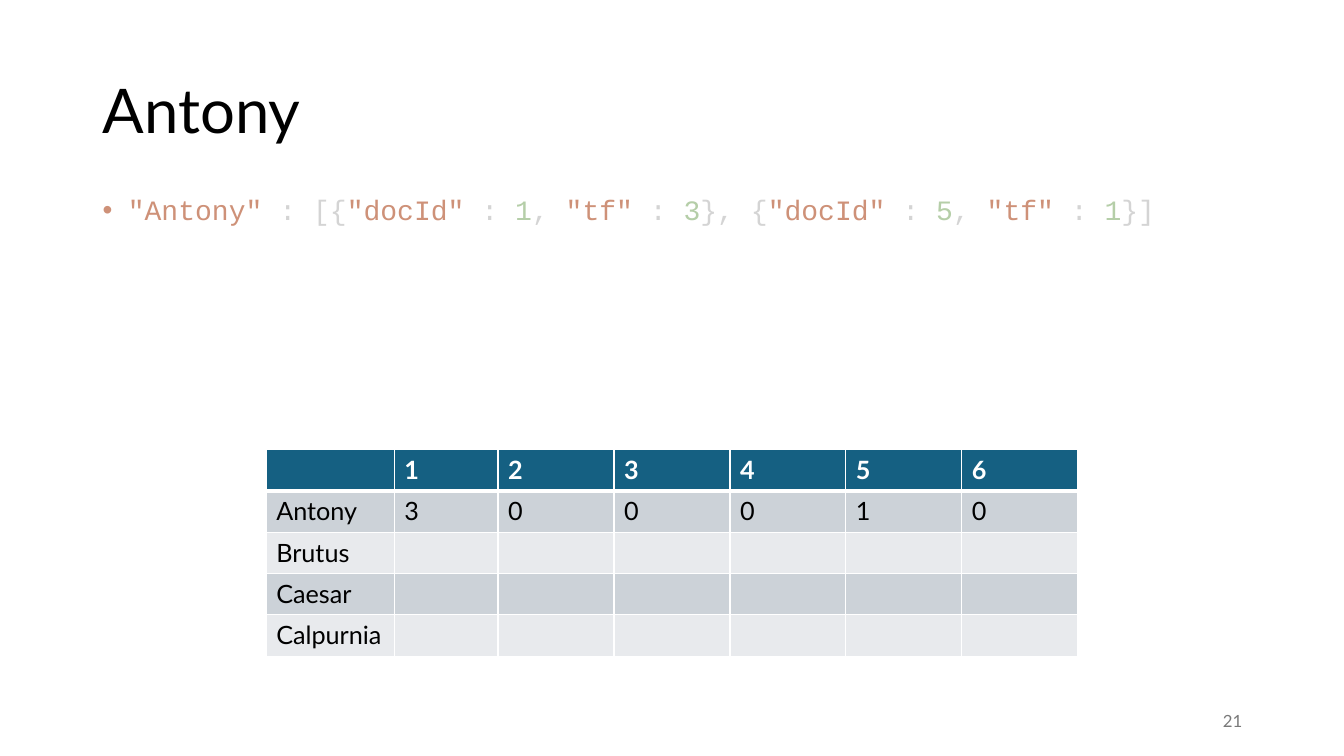
from dataclasses import dataclass

from lxml.etree import SubElement
from pptx import Presentation
from pptx.dml.color import RGBColor
from pptx.enum.text import MSO_ANCHOR, PP_ALIGN
from pptx.oxml.ns import qn
from pptx.util import Inches, Pt

BLACK = RGBColor(0x00, 0x00, 0x00)
WHITE = RGBColor(0xFF, 0xFF, 0xFF)
GREY = RGBColor(0x79, 0x79, 0x79)
HEADER = RGBColor(0x15, 0x60, 0x82)
BANDS = (RGBColor(0xE8, 0xEA, 0xED), RGBColor(0xCC, 0xD2, 0xD8))
STRING = RGBColor(0xCE, 0x91, 0x78)
NUMBER = RGBColor(0xB5, 0xCE, 0xA8)
PUNCTUATION = RGBColor(0xD4, 0xD4, 0xD4)

DOC_COUNT = 6
TERMS = ("Antony", "Brutus", "Caesar", "Calpurnia")
COLUMN_WIDTHS = (1.27, 1.03) + (1.15,) * (DOC_COUNT - 1)
ROW_HEIGHT = 0.41


@dataclass(frozen=True)
class Posting:
    doc_id: int
    tf: int


@dataclass(frozen=True)
class Token:
    text: str
    color: RGBColor


POSTINGS = (Posting(1, 3), Posting(5, 1))


def style(font, name: str, size: float, color: RGBColor, bold: bool = False) -> None:
    font.name, font.size, font.bold = name, Pt(size), bold
    font.color.rgb = color


def add_box(s, left: float, top: float, width: float, height: float, anchor: MSO_ANCHOR):
    tf = s.shapes.add_textbox(Inches(left), Inches(top), Inches(width), Inches(height)).text_frame
    tf.word_wrap = True
    tf.vertical_anchor = anchor
    return tf


def add_label(s, text: str, at: tuple[float, ...], size: float, color: RGBColor):
    """Add a vertically centred one-line text and return its paragraph."""
    tf = add_box(s, *at, MSO_ANCHOR.MIDDLE)
    tf.text = text
    p = tf.paragraphs[0]
    style(p.runs[0].font, "Lato", size, color)
    return p


def index_tokens(term: str, postings: tuple[Posting, ...]) -> list[Token]:
    """Split an inverted-index entry into coloured pieces of code."""
    tokens = [Token(f'"{term}"', STRING)]
    opening = " : [{"
    for posting in postings:
        tokens += [
            Token(opening, PUNCTUATION),
            Token('"docId"', STRING),
            Token(" : ", PUNCTUATION),
            Token(str(posting.doc_id), NUMBER),
            Token(", ", PUNCTUATION),
            Token('"tf"', STRING),
            Token(" : ", PUNCTUATION),
            Token(str(posting.tf), NUMBER),
        ]
        opening = "}, {"
    return tokens + [Token("}]", PUNCTUATION)]


def add_bullet(p, color: RGBColor) -> None:
    pPr = p._p.get_or_add_pPr()
    pPr.set("marL", str(Inches(0.25)))
    pPr.set("indent", str(Inches(-0.25)))
    SubElement(SubElement(pPr, qn("a:buClr")), qn("a:srgbClr"), val=str(color))
    SubElement(pPr, qn("a:buFont"), typeface="Arial")
    SubElement(pPr, qn("a:buChar"), char="•")


def add_index_entry(s) -> None:
    p = add_box(s, 0.92, 2, 11.5, 4.76, MSO_ANCHOR.TOP).paragraphs[0]
    add_bullet(p, STRING)
    p.line_spacing = Pt(14.2)
    for token in index_tokens(TERMS[0], POSTINGS):
        r = p.add_run()
        r.text = token.text
        style(r.font, "Courier New", 20, token.color)


def set_borders(cell, top: float, bottom: float) -> None:
    """Give a cell white borders; widths are in points."""
    tcPr = cell._tc.get_or_add_tcPr()
    for side, width in (("L", 1), ("R", 1), ("T", top), ("B", bottom)):
        ln = SubElement(tcPr, qn(f"a:ln{side}"), w=str(Pt(width)))
        SubElement(SubElement(ln, qn("a:solidFill")), qn("a:srgbClr"), val=str(WHITE))


def add_frequency_table(s) -> None:
    doc_ids = range(1, DOC_COUNT + 1)
    counts = {posting.doc_id: posting.tf for posting in POSTINGS}
    rows = [["", *map(str, doc_ids)]]
    rows.append([TERMS[0], *(str(counts.get(doc_id, 0)) for doc_id in doc_ids)])
    rows += [[term] + [""] * DOC_COUNT for term in TERMS[1:]]

    table = s.shapes.add_table(
        len(rows), len(COLUMN_WIDTHS), Inches(2.64), Inches(4.46),
        Inches(sum(COLUMN_WIDTHS)), Inches(ROW_HEIGHT * len(rows)),
    ).table
    for column, width in zip(table.columns, COLUMN_WIDTHS):
        column.width = Inches(width)
    for i, values in enumerate(rows):
        table.rows[i].height = Inches(ROW_HEIGHT)
        is_header = i == 0
        for j, value in enumerate(values):
            cell = table.cell(i, j)
            set_borders(cell, top=3 if i == 1 else 1, bottom=3 if is_header else 1)
            cell.fill.solid()
            cell.fill.fore_color.rgb = HEADER if is_header else BANDS[i % 2]
            if value:
                cell.text_frame.text = value
                r = cell.text_frame.paragraphs[0].runs[0]
                style(r.font, "Lato", 18, WHITE if is_header else BLACK, is_header)


def main() -> None:
    prs = Presentation()
    prs.slide_width, prs.slide_height = Inches(13.33), Inches(7.5)
    s = prs.slides.add_slide(prs.slide_layouts[6])

    title = add_label(s, TERMS[0], (0.92, 0.4, 11.5, 1.45), 44, BLACK)
    title.line_spacing = 0.9
    add_index_entry(s)
    page = add_label(s, "21", (9.42, 6.95, 3, 0.4), 12, GREY)
    page.alignment = PP_ALIGN.RIGHT
    add_frequency_table(s)

    prs.save("out.pptx")


if __name__ == "__main__":
    main()
